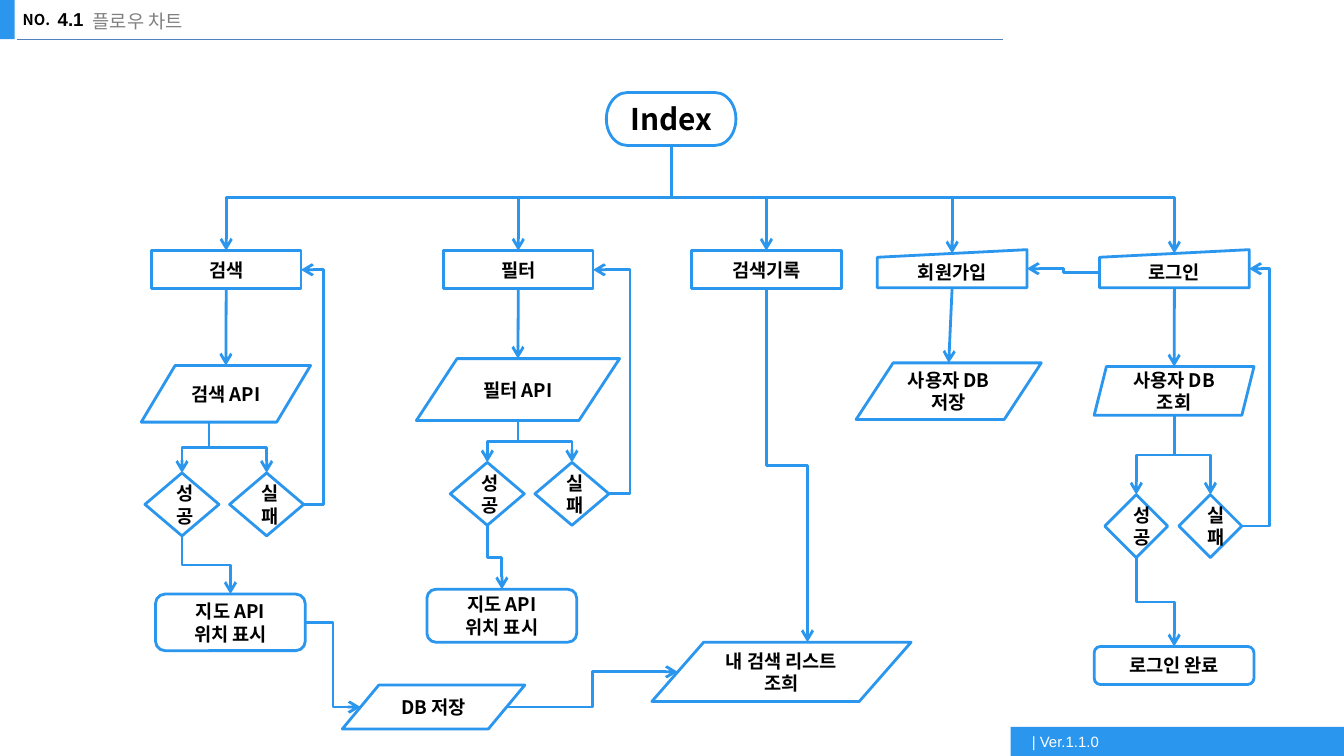
from lxml import etree
from pptx import Presentation
from pptx.dml.color import RGBColor
from pptx.enum import shapes, text
from pptx.oxml.ns import qn
from pptx.util import Cm, Pt

BLUE, BLACK, GRAY, WHITE, RULE = "2B96ED", "000000", "808080", "FFFFFF", "4F81BD"
KOREAN, LATIN = "Noto Sans CJK KR", "Arial"
KIND = shapes.MSO_SHAPE
LINK = shapes.MSO_CONNECTOR

HEADING, NUMBER = "플로우 차트", "4.1"
LABEL, VERSION = "NO.", "| Ver.1.1.0"

STEPS = {
    "index": (KIND.FLOWCHART_TERMINATOR, 11.46, 1.75, 2.45, 1, "Index"),
    "search": (KIND.RECTANGLE, 2.86, 4.74, 2.83, 0.72, "검색"),
    "filter": (KIND.RECTANGLE, 8.38, 4.74, 2.83, 0.72, "필터"),
    "history": (KIND.RECTANGLE, 13.07, 4.74, 2.83, 0.72, "검색기록"),
    "signup": (KIND.FLOWCHART_MANUAL_INPUT, 16.58, 4.72, 2.83, 0.72, "회원가입"),
    "login": (KIND.FLOWCHART_MANUAL_INPUT, 20.78, 4.72, 2.83, 0.72, "로그인"),
    "search api": (KIND.FLOWCHART_DATA, 2.67, 6.91, 3.2, 1.07, "검색 API"),
    "filter api": (KIND.FLOWCHART_DATA, 7.87, 6.78, 3.84, 1.17, "필터 API"),
    "user save": (KIND.FLOWCHART_DATA, 16.18, 6.86, 3.5, 1.07, "사용자 DB 저장"),
    "user lookup": (KIND.PARALLELOGRAM, 20.68, 6.93, 3.02, 0.92, "사용자 DB 조회"),
    "search ok": (KIND.DIAMOND, 2.74, 8.94, 1.4, 1.19, "성공"),
    "search fail": (KIND.DIAMOND, 4.34, 8.94, 1.4, 1.19, "실패"),
    "filter ok": (KIND.DIAMOND, 8.51, 8.74, 1.4, 1.19, "성공"),
    "filter fail": (KIND.DIAMOND, 10.11, 8.74, 1.4, 1.19, "실패"),
    "login ok": (KIND.DIAMOND, 20.88, 9.35, 1.19, 1.19, "성공"),
    "login fail": (KIND.DIAMOND, 22.28, 9.35, 1.19, 1.19, "실패"),
    "search map": (KIND.FLOWCHART_ALTERNATE_PROCESS, 2.94, 11.23, 2.83, 1.07, "지도 API\n위치 표시"),
    "filter map": (KIND.FLOWCHART_ALTERNATE_PROCESS, 8.07, 11.14, 2.83, 1, "지도 API\n위치 표시"),
    "db save": (KIND.FLOWCHART_DATA, 6.47, 12.95, 3.45, 0.83, "DB 저장"),
    "my list": (KIND.FLOWCHART_DATA, 12.32, 12.14, 4.9, 1.12, "내 검색 리스트 조희"),
    "login done": (KIND.ROUNDED_RECTANGLE, 20.68, 12.22, 3.02, 0.72, "로그인 완료"),
}

TOP, BOTTOM, LEFT, RIGHT = (0.5, 0), (0.5, 1), (0, 0.6), (1, 0.5)
SLOPE_TOP = (0.5, 0.1)
DATA_TOP, DATA_BOTTOM, DATA_LEFT, DATA_RIGHT = (0.6, 0), (0.4, 1), (0.1, 0.5), (0.9, 0.5)
TRUNK = 3.73

STRAIGHT = [("search", "search api"), ("filter", "filter api"),
            ("signup", "user save"), ("login", "user lookup")]

DOWN = [
    *[("index", BOTTOM, menu, TOP, TRUNK) for menu in ("search", "filter", "history")],
    *[("index", BOTTOM, menu, SLOPE_TOP, TRUNK) for menu in ("signup", "login")],
    *[(query, exit_side, f"{menu} {result}", TOP, None)
      for query, exit_side, menu in (("search api", DATA_BOTTOM, "search"),
                                     ("filter api", BOTTOM, "filter"),
                                     ("user lookup", BOTTOM, "login"))
      for result in ("ok", "fail")],
    ("search ok", BOTTOM, "search map", TOP, None),
    ("filter ok", BOTTOM, "filter map", TOP, None),
    ("login ok", BOTTOM, "login done", TOP, None),
    ("history", BOTTOM, "my list", DATA_TOP, None),
]

ACROSS = [
    ("search fail", RIGHT, "search", RIGHT, 6.12),
    ("filter fail", RIGHT, "filter", RIGHT, 11.91),
    ("login fail", RIGHT, "login", RIGHT, 24),
    ("search map", RIGHT, "db save", DATA_LEFT, None),
    ("db save", DATA_RIGHT, "my list", DATA_LEFT, None),
    ("login", LEFT, "signup", RIGHT, None),
]


def color(hex_code):
    return RGBColor.from_string(hex_code)


def write(frame, words, size, face, ink, bold=False, align=None, **layout):
    frame.text = words
    for name, value in {"word_wrap": True, **layout}.items():
        setattr(frame, name, value)
    for paragraph in frame.paragraphs:
        paragraph.alignment = align
        for run in paragraph.runs:
            for name, value in {"size": Pt(size), "name": face, "bold": bold}.items():
                setattr(run.font, name, value)
            run.font.color.rgb = color(ink)
            etree.SubElement(run.font._element, qn("a:ea"), typeface=face)


def place(part, left, top, width, height):
    for name, value in zip(("left", "top", "width", "height"), (left, top, width, height)):
        setattr(part, name, Cm(value))


def box(kind, left, top, width, height, fill=None):
    part = slide.shapes.add_shape(kind, *map(Cm, (left, top, width, height)))
    part.shadow.inherit = False
    if fill:
        part.fill.solid()
        part.fill.fore_color.rgb = color(fill)
        part.line.fill.background()
    else:
        part.fill.background()
        part.line.color.rgb = color(BLUE)
        part.line.width = Pt(1.5)
    return part


def connect(kind, start, end, ink=BLUE, width=1.5, arrow=True):
    link = slide.shapes.add_connector(kind, *map(Cm, (*start, *end)))
    link.line.color.rgb = color(ink)
    link.line.width = Pt(width)
    outline = link._element.spPr
    if arrow:
        etree.SubElement(outline.find(qn("a:ln")), qn("a:tailEnd"), type="arrow")
    etree.SubElement(outline, qn("a:effectLst"))
    return outline


def point(step, side):
    _, left, top, width, height, _ = STEPS[step]
    return left + width * side[0], top + height * side[1]


def elbow(source, exit_side, target, entry_side, bend, down):
    start, end = point(source, exit_side), point(target, entry_side)
    (x0, y0), (x1, y1) = start, end
    first, last = (y0, y1) if down else (x0, x1)
    if down:
        middle_x, middle_y = (x0 + x1) / 2, (y0 + y1) / 2
        half_run, half_shift = (y1 - y0) / 2, (x1 - x0) / 2
        start = middle_x - half_run, middle_y + half_shift
        end = middle_x + half_run, middle_y - half_shift
    outline = connect(LINK.ELBOW, start, end)
    if down:
        outline.find(qn("a:xfrm")).set("rot", "5400000")
    if bend is not None:
        share = round((bend - first) / (last - first) * 100000)
        guides = outline.find(qn("a:prstGeom")).find(qn("a:avLst"))
        etree.SubElement(guides, qn("a:gd"), name="adj1", fmla=f"val {share}")


deck = Presentation()
deck.slide_width, deck.slide_height = Cm(25.4), Cm(14.29)
slide = deck.slides.add_slide(deck.slide_layouts[2])

heading, number = slide.placeholders
place(heading, 1.5, 0.05, 15.01, 0.81)
write(heading.text_frame, HEADING, 10, KOREAN, GRAY, align=text.PP_ALIGN.LEFT,
      vertical_anchor=text.MSO_ANCHOR.TOP)
place(number, 1.09, 0.03, 2.79, 0.79)
write(number.text_frame, NUMBER, 10, LATIN, BLACK, bold=True,
      vertical_anchor=text.MSO_ANCHOR.TOP, margin_left=0, margin_right=0)

box(KIND.RECTANGLE, -0.03, 0, 0.31, 0.74, BLUE)
version = box(KIND.RECTANGLE, 19.1, 13.74, 6.3, 0.55, BLUE)
write(version.text_frame, VERSION, 8, LATIN, WHITE, align=text.PP_ALIGN.LEFT,
      vertical_anchor=text.MSO_ANCHOR.MIDDLE, margin_left=Cm(0.4))
connect(LINK.STRAIGHT, (0.33, 0.74), (18.95, 0.74), RULE, 0.5, arrow=False)
label = slide.shapes.add_textbox(*map(Cm, (0.18, 0.08, 1.07, 0.61)))
write(label.text_frame, LABEL, 8, KOREAN, BLACK, bold=True, word_wrap=False)

for step, (kind, *area, words) in STEPS.items():
    write(box(kind, *area).text_frame, words, 16 if step == "index" else 10, KOREAN, BLACK,
          bold=True, align=text.PP_ALIGN.CENTER, vertical_anchor=text.MSO_ANCHOR.MIDDLE)

for source, target in STRAIGHT:
    connect(LINK.STRAIGHT, point(source, BOTTOM), point(target, TOP))
for flow in DOWN:
    elbow(*flow, down=True)
for flow in ACROSS:
    elbow(*flow, down=False)

deck.save("out.pptx")
